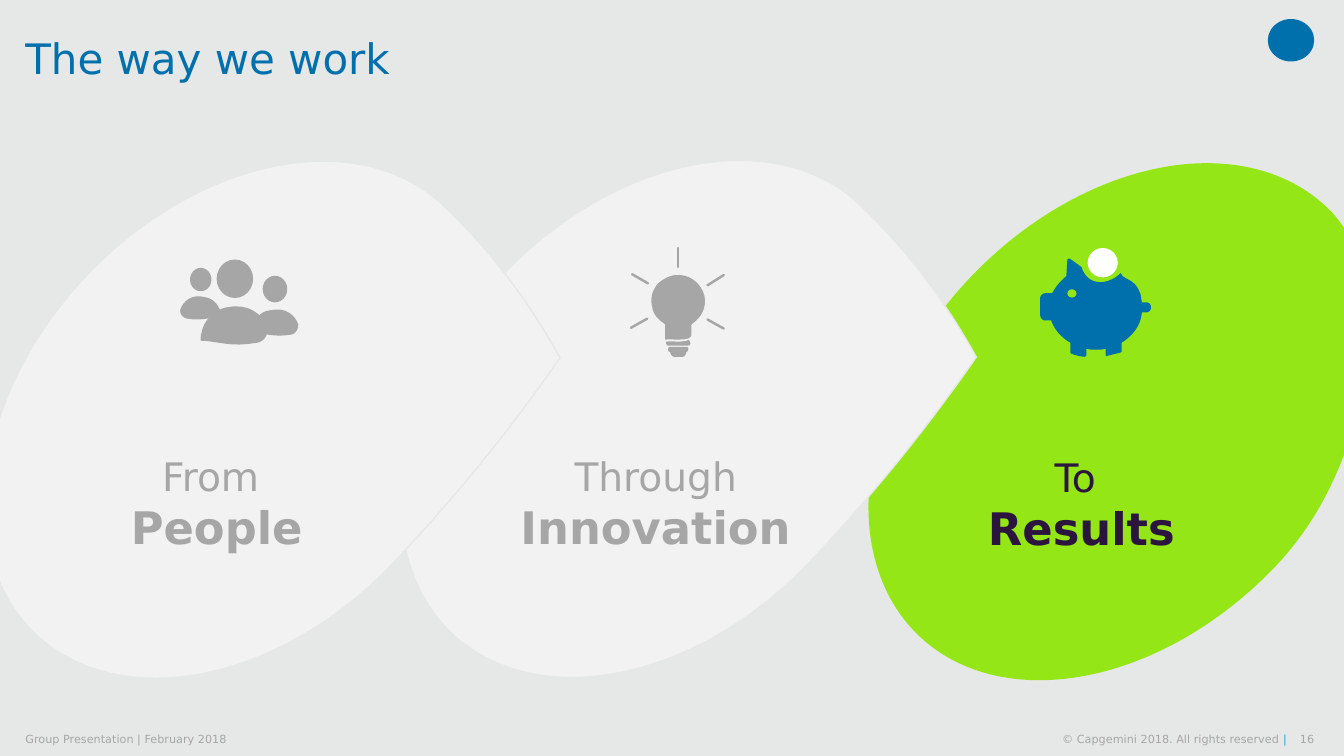
import pptx
import pptx.dml.color
import pptx.enum.shapes
import pptx.enum.text
import pptx.oxml.ns
import pptx.util
from lxml import etree

Cm = pptx.util.Cm
SHAPE = pptx.enum.shapes.MSO_SHAPE
ALIGN = pptx.enum.text.PP_ALIGN
ANCHOR = pptx.enum.text.MSO_ANCHOR

FONT = "DejaVu Sans"
BACKGROUND, PALE, GREY = "E6E7E7", "F2F2F2", "A6A6A6"
BLUE, CYAN, GREEN, PURPLE, WHITE = "0070AD", "12ABDB", "95E616", "2B143D", "FFFFFF"
GRID = Cm(2.54) / 100
CURVE_STEPS = 8

PIG = [
    (1137, 300), (1133, 300), (1131, 275, 1114, 279, 1112, 271),
    (1107, 276, 1099, 280, 1092, 280), (1082, 280, 1076, 274, 1073, 265),
    (1062, 257), (1061, 256, 1059, 257, 1059, 258), (1058, 274),
    (1052, 279, 1047, 285, 1044, 291), (1037, 291),
    (1034, 291, 1032, 294, 1032, 296), (1032, 312),
    (1032, 315, 1034, 318, 1037, 318), (1043, 318),
    (1046, 327, 1053, 335, 1062, 340), (1062, 349),
    (1062, 350, 1062, 350, 1063, 351), (1066, 352, 1072, 354, 1076, 354),
    (1077, 354, 1078, 353, 1078, 352), (1078, 346),
    (1081, 347, 1084, 347, 1088, 347), (1091, 347, 1094, 347, 1097, 346),
    (1097, 351), (1097, 353, 1098, 354, 1099, 353), (1111, 350),
    (1112, 350, 1113, 349, 1113, 348), (1113, 340),
    (1124, 333, 1132, 323, 1133, 310), (1137, 310),
    (1140, 310, 1142, 308, 1142, 305), (1142, 302, 1140, 300, 1137, 300),
]
BULB_PARTS = [
    [(699, 294), (696, 281, 684, 271, 669, 273), (663, 274, 658, 277, 653, 281),
     (647, 288, 645, 296, 647, 304), (648, 312, 653, 317, 659, 321),
     (660, 322, 660, 322, 660, 323), (660, 337), (666, 336, 672, 338, 682, 336),
     (685, 335, 686, 333, 686, 332), (686, 323), (686, 322, 686, 322, 687, 321),
     (696, 315, 701, 305, 699, 294)],
    [(685, 341), (685, 339, 684, 338, 683, 337), (682, 338),
     (672, 340, 667, 338, 661, 339), (661, 341, 661, 342, 663, 343), (682, 343),
     (684, 343, 685, 342, 685, 341)],
    [(681, 349), (681, 352, 678, 355, 676, 354), (671, 354),
     (668, 355, 665, 352, 665, 349), (663, 349, 663, 348, 663, 346),
     (663, 345, 664, 344, 665, 344), (681, 344),
     (682, 344, 683, 345, 683, 346), (683, 348, 682, 349, 681, 349)],
]
RAYS = [
    (17.09, 6.25, 17.09, 6.73), (15.93, 6.91, 16.33, 7.14),
    (15.9, 8.26, 16.31, 8.03), (17.83, 8.05, 18.24, 8.28),
    (17.83, 7.19, 18.24, 6.93),
]
HEADS = [(6.62, 6.95, 0.62, 0.67), (4.79, 6.75, 0.54, 0.59), (5.46, 6.54, 0.92, 0.97)]
BODIES = [
    [(289, 332), (294, 331, 296, 326, 296, 322), (293, 313, 284, 304, 267, 308),
     (259, 309, 252, 316, 251, 324), (250, 326, 250, 328, 250, 330),
     (261, 330, 271, 335, 289, 332)],
    [(185, 316), (181, 315, 178, 311, 179, 307), (182, 299, 190, 291, 204, 295),
     (211, 296, 217, 302, 219, 310), (219, 311, 220, 313, 219, 315),
     (210, 314, 201, 319, 185, 316)],
    [(199, 338), (199, 336, 199, 333, 200, 330), (202, 318, 212, 308, 224, 305),
     (247, 300, 260, 312, 265, 324), (267, 332, 262, 339, 255, 340),
     (229, 345, 214, 338, 199, 338)],
]


def color(value):
    return pptx.dml.color.RGBColor.from_string(value)


def apply_formats(target, formats):
    for name, value in formats.items():
        setattr(target, name, value)


def paint(shape, fill, outline=None):
    shape.shadow.inherit = False
    shape.fill.solid()
    shape.fill.fore_color.rgb = color(fill)
    if outline:
        shape.line.color.rgb = color(outline)
        shape.line.width = pptx.util.Pt(1)
    else:
        shape.line.fill.background()


def add_preset(slide, kind, box, fill, outline=None):
    shape = slide.shapes.add_shape(kind, *map(Cm, box))
    paint(shape, fill, outline)
    return shape


def add_petal(slide, left, top, bulge, fill, outline=None):
    petal = add_preset(slide, SHAPE.TEAR, (left, top, 14.91, 10.59), fill, outline)
    petal.adjustments[0] = bulge
    petal.rotation = 133.7
    petal.element.spPr.xfrm.set("flipH", "1")


def curve_points(start, curve):
    controls = [start, curve[:2], curve[2:4], curve[4:]]
    for step in range(1, CURVE_STEPS + 1):
        t = step / CURVE_STEPS
        weights = ((1 - t) ** 3, 3 * t * (1 - t) ** 2, 3 * t * t * (1 - t), t ** 3)
        yield tuple(
            sum(weight * point[axis] for weight, point in zip(weights, controls))
            for axis in (0, 1)
        )


def add_outline(slide, segments, fill):
    points = [segments[0]]
    for segment in segments[1:]:
        points.extend([segment] if len(segment) == 2 else curve_points(points[-1], segment))
    scaled = [(x * GRID, y * GRID) for x, y in points]
    builder = slide.shapes.build_freeform(*scaled[0])
    builder.add_line_segments(scaled[1:], close=True)
    paint(builder.convert_to_shape(), fill)


def add_ray(slide, ends):
    ray = slide.shapes.add_connector(
        pptx.enum.shapes.MSO_CONNECTOR.STRAIGHT, *map(Cm, ends))
    ray.line.color.rgb = color(GREY)
    ray.line.width = pptx.util.Pt(1.75)
    ray.line._get_or_add_ln().set("cap", "rnd")
    etree.SubElement(ray.element.spPr, pptx.oxml.ns.qn("a:effectLst"))


def add_text(slide, box, runs, align=ALIGN.LEFT, margin=0, anchor=ANCHOR.MIDDLE, spacing=1.0):
    frame = slide.shapes.add_textbox(*map(Cm, box)).text_frame
    sides = ("left", "right", "top", "bottom")
    apply_formats(frame, {"word_wrap": True, "vertical_anchor": anchor})
    if margin is not None:
        apply_formats(frame, {f"margin_{side}": Cm(margin) for side in sides})
    paragraph = frame.paragraphs[0]
    apply_formats(paragraph, {"alignment": align, "line_spacing": spacing})
    for text, size, bold, run_color in runs:
        if text == "\n":
            paragraph.add_line_break()
            continue
        run = paragraph.add_run()
        run.text = text
        apply_formats(run.font, {"name": FONT, "size": pptx.util.Pt(size), "bold": bold})
        run.font.color.rgb = color(run_color)


def add_stage_label(slide, box, lead, word, text_color):
    runs = [(lead, 28, False, text_color), ("\n", 28, False, text_color),
            (word, 32, True, text_color)]
    add_text(slide, box, runs, ALIGN.CENTER, None, ANCHOR.TOP)


def add_results(slide):
    add_petal(slide, 20.85, 5.33, 0.68, GREEN)
    add_stage_label(slide, (22.76, 11.3, 8.99, 2.82), "To ", "Results", PURPLE)
    add_preset(slide, SHAPE.OVAL, (27.41, 6.25, 0.76, 0.74), WHITE)
    add_outline(slide, PIG, BLUE)
    add_preset(slide, SHAPE.OVAL, (26.9, 7.29, 0.23, 0.21), GREEN)


def add_innovation(slide):
    add_petal(slide, 9.07, 5.26, 0.9, PALE, BACKGROUND)
    add_stage_label(slide, (11.76, 11.28, 9.53, 2.82), "Through", "Innovation", GREY)
    for ray in RAYS:
        add_ray(slide, ray)
    for part in BULB_PARTS:
        add_outline(slide, part, GREY)


def add_people(slide):
    add_petal(slide, -1.42, 5.28, 0.9, PALE, BACKGROUND)
    for head in HEADS:
        add_preset(slide, SHAPE.OVAL, head, GREY)
    for body in BODIES:
        add_outline(slide, body, GREY)
    add_stage_label(slide, (1.73, 11.28, 7.47, 2.82), "From ", "People", GREY)


def add_footer(slide):
    add_text(slide, (0.64, 18.47, 13.11, 0.33),
             [("Group Presentation | February 2018", 8, False, GREY)])
    add_text(slide, (25.04, 18.47, 7.39, 0.33),
             [("© Capgemini 2018. All rights reserved ", 8, False, GREY),
              ("|", 8, False, CYAN)], ALIGN.RIGHT)
    add_text(slide, (32.64, 18.47, 0.48, 0.33), [("16", 8, False, GREY)], ALIGN.RIGHT)


def main():
    presentation = pptx.Presentation()
    apply_formats(presentation, {"slide_width": Cm(33.87), "slide_height": Cm(19.05)})
    slide = presentation.slides.add_slide(presentation.slide_layouts[6])
    slide.background.fill.solid()
    slide.background.fill.fore_color.rgb = color(BACKGROUND)
    add_preset(slide, SHAPE.OVAL, (31.95, 0.48, 1.17, 1.07), BLUE)
    add_footer(slide)
    add_results(slide)
    add_text(slide, (0.64, 0, 30.91, 3.07),
             [("The way we work", 30, False, BLUE)], spacing=0.9)
    add_innovation(slide)
    add_people(slide)
    presentation.save("out.pptx")


if __name__ == "__main__":
    main()
